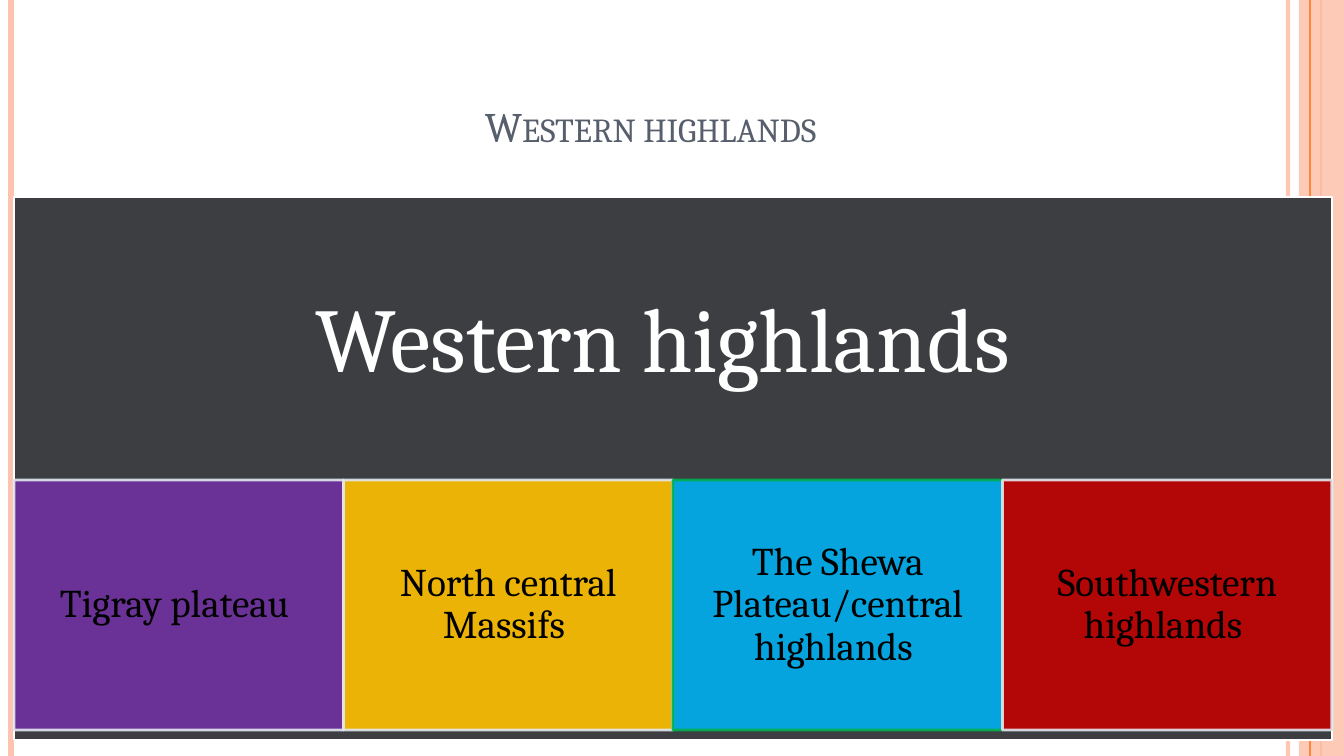
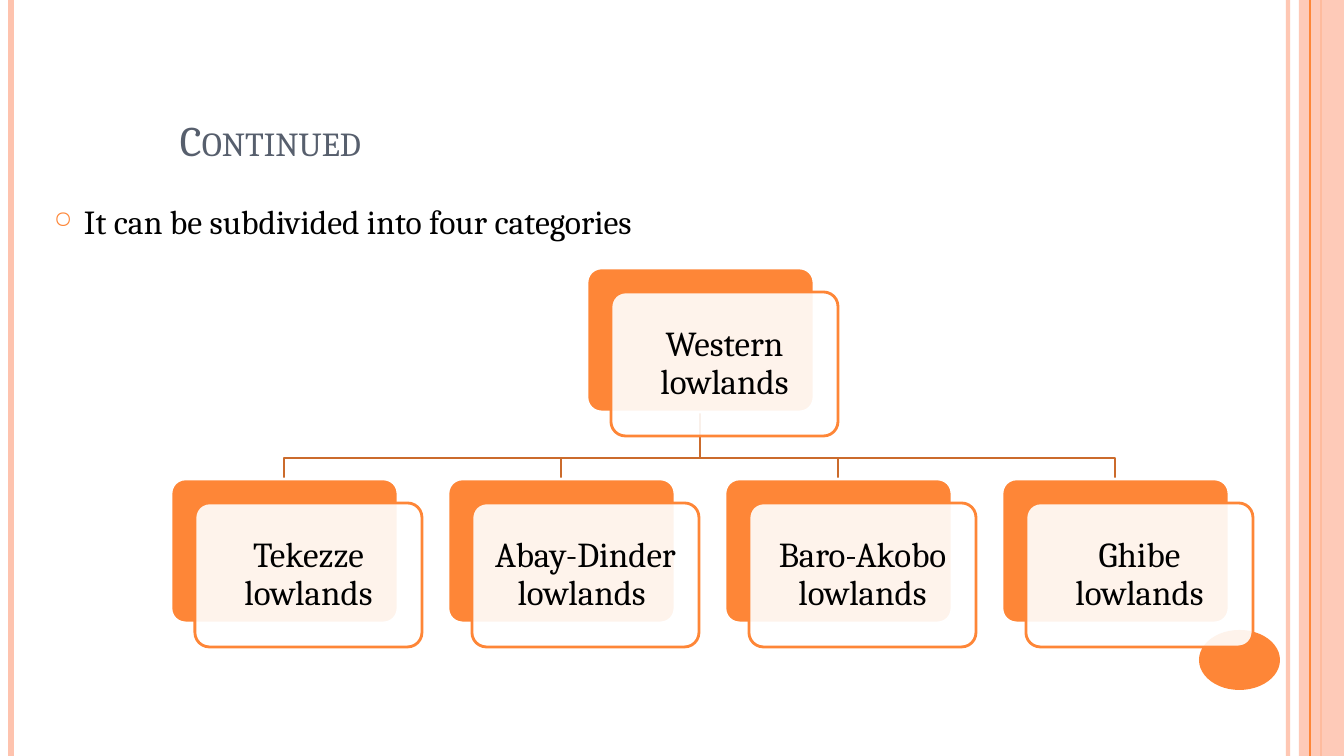
from lxml import etree
from pptx import Presentation
from pptx.dml.color import RGBColor
from pptx.enum.shapes import MSO_CONNECTOR, MSO_SHAPE
from pptx.enum.text import MSO_ANCHOR, PP_ALIGN
from pptx.oxml.ns import qn
from pptx.util import Pt

RECT, ROUND, OVAL = MSO_SHAPE.RECTANGLE, MSO_SHAPE.ROUNDED_RECTANGLE, MSO_SHAPE.OVAL
STRAIGHT = MSO_CONNECTOR.STRAIGHT
TOP, MIDDLE, BOTTOM = MSO_ANCHOR.TOP, MSO_ANCHOR.MIDDLE, MSO_ANCHOR.BOTTOM
LEFT, CENTER = PP_ALIGN.LEFT, PP_ALIGN.CENTER

PX = 9071  # EMU in one px
WIDTH, HEIGHT = 1344, 756
FONT = "Cambria"
ORANGE, PEACH, BROWN = "FE8637", "FEC3AE", "CB6B2C"
SLATE, CHARCOAL, PALE = "575F6D", "3C3E42", "E3E7EF"
WHITE, BLACK = "FFFFFF", "000000"


def paint(sp, fill=None, line=None, width=2, fill_alpha=100, line_alpha=100):
    """Set fill, outline and opacity in percent, and drop the shadow."""
    parts = [(sp.line.fill, line, line_alpha)]
    if hasattr(sp, "fill"):
        parts.insert(0, (sp.fill, fill, fill_alpha))
    for part, color, alpha in parts:
        if color is None:
            part.background()
            continue
        part.solid()
        part.fore_color.rgb = RGBColor.from_string(color)
        if alpha < 100:
            clr = part._xPr.find(qn("a:solidFill"))[0]
            etree.SubElement(clr, qn("a:alpha"), val=str(alpha * 1000))
    if line:
        sp.line.width = Pt(width)
    etree.SubElement(sp._element.spPr, qn("a:effectLst"))


def write(sp, text, size, color=BLACK, align=CENTER, anchor=MIDDLE,
          insets=(10, 5, 10, 5), spacing=0.9):
    """Fill a shape with one paragraph and return that paragraph."""
    tf = sp.text_frame
    tf.word_wrap = True
    tf.vertical_anchor = anchor
    tf.margin_left, tf.margin_top, tf.margin_right, tf.margin_bottom = (
        n * PX for n in insets)
    p = tf.paragraphs[0]
    p.text = text
    p.alignment = align
    p.line_spacing = spacing
    r = p.runs[0]
    r.font.name = FONT
    r.font.size = Pt(size)
    r.font.color.rgb = RGBColor.from_string(color)
    return p


prs = Presentation()
prs.slide_width, prs.slide_height = WIDTH * PX, HEIGHT * PX

# Shared side bands and titles: text, box, alignment, right inset
titles = [
    ("Western highlands", (152, 52, 1013, 104), CENTER, 26),
    ("Continued", (170, 2, 1173, 168), LEFT, 10),
]
# x, colour, width, opacity; the last rule lies over the band
rules = [(1288, PEACH, 3, 93), (11, PEACH, 4.5, 100),
         (1321, ORANGE, 1.5, 100), (1310, ORANGE, 0.75, 100)]

for title, box, align, right in titles:
    s = prs.slides.add_slide(prs.slide_layouts[6])
    for x, color, width, alpha in rules:
        if x == 1310:
            band = s.shapes.add_shape(RECT, 1299 * PX, 0, 45 * PX, HEIGHT * PX)
            paint(band, PEACH, fill_alpha=87)
        rule = s.shapes.add_connector(STRAIGHT, x * PX, 0, x * PX, HEIGHT * PX)
        paint(rule, line=color, width=width, line_alpha=alpha)
    sp = s.shapes.add_textbox(*(n * PX for n in box))
    p = write(sp, title, 30, SLATE, align, BOTTOM, (10, 5, right, 5), 1)
    p.runs[0].font._element.set("cap", "small")

highlands, lowlands = prs.slides

# Slide 1: panel with four tiles
panel_left, panel_width = 14 * PX, 1318 * PX
panel = highlands.shapes.add_shape(RECT, panel_left, 197 * PX, panel_width, 543 * PX)
paint(panel, CHARCOAL, WHITE)
write(panel, "Western highlands ", 65, WHITE, insets=(51, 51, 51, 301))

tiles = [
    ("Tigray plateau ", "7030A0", PALE),
    ("North central Massifs ", "FFC000", PALE),
    ("The Shewa Plateau/central highlands ", "00B0F0", "00B050"),
    ("Southwestern highlands ", "C00000", PALE),
]
tile_width = panel_width // len(tiles)
for i, (text, fill, line) in enumerate(tiles):
    sp = highlands.shapes.add_shape(RECT, panel_left + i * tile_width, 480 * PX,
                                    tile_width, 250 * PX)
    paint(sp, fill, line, fill_alpha=90, line_alpha=90)
    write(sp, text, 28, insets=(22, 4, 22, 4))

# Slide 2: bullet and tree
dot = lowlands.shapes.add_shape(OVAL, 1199 * PX, 630 * PX, 81 * PX, 60 * PX)
paint(dot, ORANGE)

body = lowlands.shapes.add_textbox(44 * PX, 196 * PX, 1290 * PX, 102 * PX)
p = write(body, "It can be subdivided into four categories", 24,
          align=LEFT, anchor=TOP, spacing=1)
p.space_before = Pt(6)
pPr = p._p.get_or_add_pPr()
pPr.set("marL", str(30 * PX))
pPr.set("indent", str(-30 * PX))
bullet_color = etree.SubElement(pPr, qn("a:buClr"))
etree.SubElement(bullet_color, qn("a:srgbClr"), val=ORANGE)
etree.SubElement(pPr, qn("a:buSzPct"), val="70000")
etree.SubElement(pPr, qn("a:buChar"), char="○")

card_width, card_height, shift = 227, 144, 24
root_left, root_top, child_top, fork_y = 587, 268, 479, 458
children = ["Tekezze lowlands", "Abay-Dinder lowlands ",
            "Baro-Akobo lowlands", "Ghibe lowlands"]
cards = [("Western lowlands", root_left, root_top)]
cards += [(text, 171 + 277 * i, child_top) for i, text in enumerate(children)]

root_x = root_left + card_width // 2
for text, left, top in cards[1:]:
    child_x = left + card_width // 2
    branch = lowlands.shapes.build_freeform(root_x, root_top + card_height, PX)
    branch.add_line_segments(
        [(root_x, fork_y), (child_x, fork_y), (child_x, child_top)], close=False)
    paint(branch.convert_to_shape(), line=BROWN)

for text, left, top in cards:
    for offset, fill, line, alpha in [(0, ORANGE, WHITE, 100),
                                      (shift, WHITE, ORANGE, 90)]:
        sp = lowlands.shapes.add_shape(ROUND, (left + offset) * PX, (top + offset) * PX,
                                       card_width * PX, card_height * PX)
        sp.adjustments[0] = 0.1
        paint(sp, fill, line, fill_alpha=alpha)
    write(sp, text, 25, insets=(10, 10, 10, 10))

prs.save("out.pptx")
